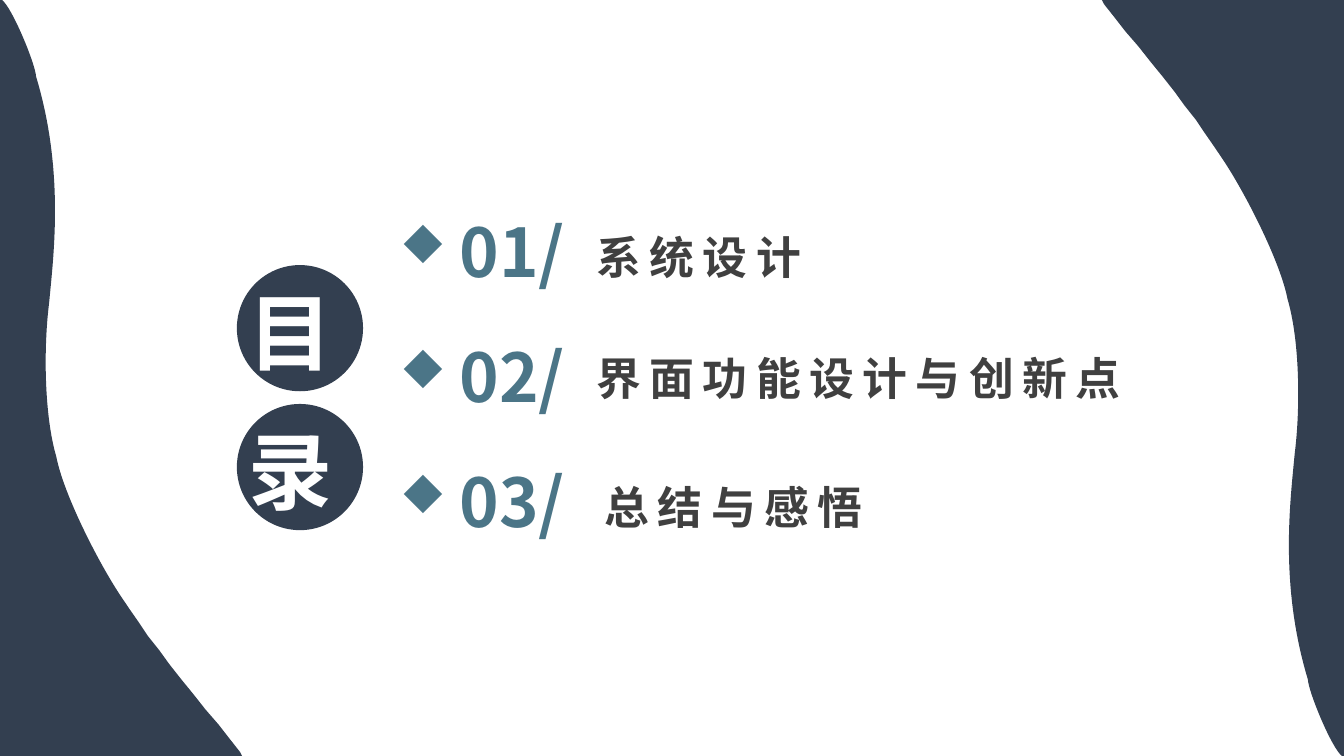
from lxml.etree import SubElement
from pptx import Presentation
from pptx.dml.color import RGBColor
from pptx.enum.shapes import MSO_SHAPE as Preset
from pptx.enum.text import MSO_ANCHOR as Anchor, MSO_AUTO_SIZE as AutoSize, PP_ALIGN as Align
from pptx.oxml.ns import qn
from pptx.util import Cm, Pt

FONT = "Noto Sans CJK SC"
COLOURS = {"navy": "333F50", "teal": "4B7587", "grey": "404040", "white": "FFFFFF"}
WIDTH, HEIGHT = 33.87, 19.05
START = (0.05, 0)
CURVES = [
    ((0.3, 0.18), (0.89, 1.6), (0.91, 1.93)),
    ((1.63, 4.32), (1.35, 6.43), (1.24, 7.62)),
    ((1.09, 8.81), (1.12, 10.49), (1.42, 11.51)),
    ((1.6, 12.45), (2.49, 14.2), (3.07, 15.06)),
]
TAIL = [(3.28, 15.37), (3.51, 15.7), (3.73, 16.03), (4.01, 16.38), (4.27, 16.74),
        (4.57, 17.12), (4.88, 17.5), (5.18, 17.88), (5.51, 18.26), (5.79, 18.62),
        (6.05, 18.95), (6.1, HEIGHT), (0, HEIGHT), (0, 0)]
HEADINGS = [
    ("系统设计", (14.78, 5.64, 15.75, 1.63)),
    ("界面功能设计与创新点", (14.78, 8.71, 16.26, 1.63)),
    ("总结与感悟", (14.99, 11.96, 13.59, 1.63)),
]
CIRCLE_PITCH = 3.5
LINE_PITCH = 89.3


def colour(name):
    """Return the named colour."""
    return RGBColor.from_string(COLOURS[name])


def paint(shape):
    """Give a shape a plain navy fill."""
    shape.shadow.inherit = False
    shape.fill.solid()
    shape.fill.fore_color.rgb = colour("navy")
    shape.line.fill.background()


def bend(shape):
    """Turn the leading segments of a wave into cubic curves."""
    segments = list(shape._element.iter(qn("a:lnTo")))
    for index in range(len(CURVES)):
        curve, *others = segments[3 * index:3 * index + 3]
        curve.tag = qn("a:cubicBezTo")
        for other in others:
            curve.append(other[0])
            other.getparent().remove(other)


def add_wave(page, points):
    """Draw one closed wave."""
    corners = [(Cm(x), Cm(y)) for x, y in points]
    builder = page.shapes.build_freeform(*corners[0], scale=1.0)
    builder.add_line_segments(corners[1:], close=True)
    wave = builder.convert_to_shape()
    bend(wave)
    paint(wave)


def place(box, area):
    """Move a text holder to the front of the page at an area in centimetres."""
    box.left, box.top, box.width, box.height = map(Cm, area)
    tree = box._element.getparent()
    tree.append(box._element)
    frame = box.text_frame
    settings = {"word_wrap": True, "auto_size": AutoSize.NONE, "vertical_anchor": Anchor.MIDDLE,
                "margin_left": Cm(0.25), "margin_right": Cm(0.25),
                "margin_top": Cm(0.13), "margin_bottom": Cm(0.13)}
    for name, value in settings.items():
        setattr(frame, name, value)
    return frame


def write(para, text, size, shade, align=Align.LEFT, spacing=0):
    """Write one bold run into a paragraph."""
    para.alignment = align
    para.space_before = Pt(0)
    span = para.add_run()
    span.text = text
    for name, value in {"name": FONT, "size": Pt(size), "bold": True}.items():
        setattr(span.font, name, value)
    span.font.color.rgb = colour(shade)
    properties = span._r.get_or_add_rPr()
    properties.set("spc", str(spacing * 100))
    SubElement(properties, qn("a:ea"), typeface=FONT)


def add_diamond(para):
    """Give a paragraph a hanging diamond bullet."""
    properties = para._p.get_or_add_pPr()
    properties.set("marL", str(Cm(1.5)))
    properties.set("indent", str(-Cm(1.5)))
    tint = SubElement(properties, qn("a:buClr"))
    SubElement(tint, qn("a:srgbClr"), val=COLOURS["teal"])
    SubElement(properties, qn("a:buSzPct"), val="70000")
    SubElement(properties, qn("a:buFont"), typeface="Wingdings", charset="2")
    SubElement(properties, qn("a:buChar"), char="u")


def add_badge(page, box, text, row):
    """Draw a circle with one large character over it."""
    shift = row * CIRCLE_PITCH
    circle = page.shapes.add_shape(Preset.OVAL, Cm(5.97), Cm(6.68 + shift), Cm(3.18), Cm(3.18))
    paint(circle)
    frame = place(box, (5.89, 6.93 + shift, 3.33, 2.82))
    write(frame.paragraphs[0], text, 60, "white", Align.CENTER)


def add_numbers(box):
    """Fill the list of section numbers."""
    frame = place(box, (9.83, 4.17, 5.16, 9.45))
    frame.margin_top = frame.margin_bottom = 0
    frame.vertical_anchor = Anchor.TOP
    for index in range(len(HEADINGS)):
        para = frame.add_paragraph() if index else frame.paragraphs[0]
        add_diamond(para)
        para.line_spacing = Pt(LINE_PITCH)
        write(para, f"{index + 1:02d}/", 48, "teal")


def new_box(page):
    """Add an empty text box."""
    return page.shapes.add_textbox(0, 0, Cm(1), Cm(1))


def main():
    """Build the contents page."""
    deck = Presentation()
    deck.slide_width, deck.slide_height = Cm(WIDTH), Cm(HEIGHT)
    page = deck.slides.add_slide(deck.slide_layouts[1])
    left_wave = [START, *(point for curve in CURVES for point in curve), *TAIL]
    add_wave(page, [(WIDTH - x, HEIGHT - y) for x, y in left_wave])
    add_wave(page, left_wave)
    add_badge(page, page.shapes.title, "目 ", 0)
    add_badge(page, new_box(page), "录 ", 1)
    for text, area in HEADINGS:
        write(place(new_box(page), area).paragraphs[0], text, 32, "grey", spacing=6)
    add_numbers(page.placeholders[1])
    deck.save("out.pptx")


if __name__ == "__main__":
    main()
